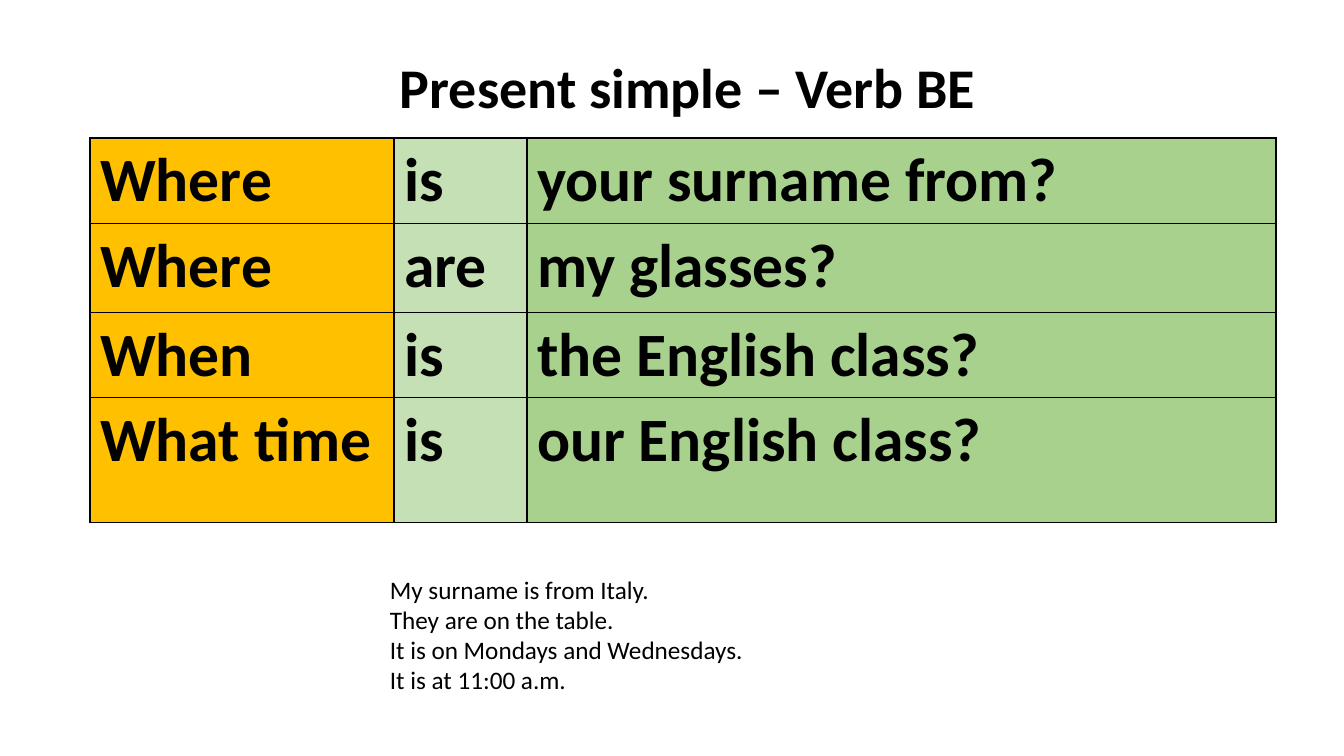
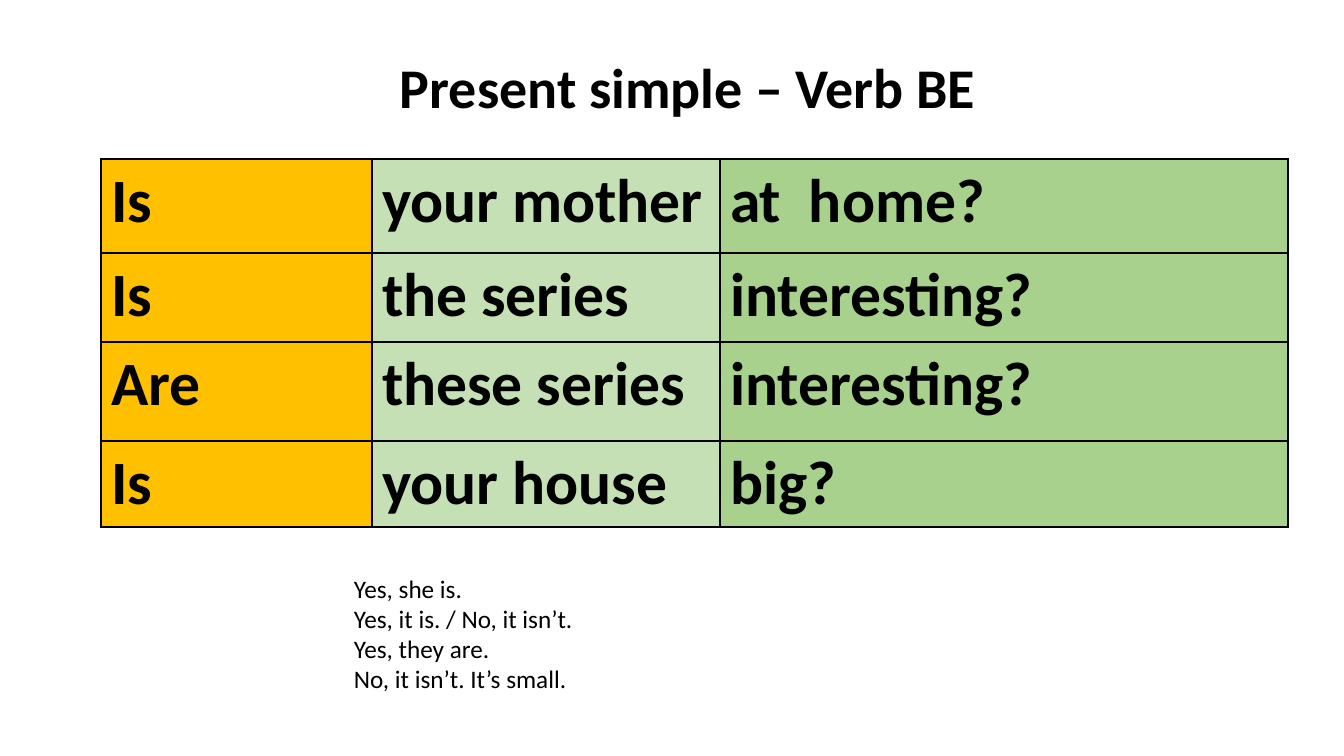
from lxml import etree
from pptx import Presentation
from pptx import util as u
from pptx.dml.color import RGBColor
from pptx.enum import text
from pptx.oxml import ns

EMU_PER_PX = 914400 / 100.8
SLIDE_SIZE = (1344, 756)
FONT = "Calibri"
BLACK = RGBColor(0x00, 0x00, 0x00)
AMBER = RGBColor(0xFF, 0xC0, 0x00)
PALE_GREEN = RGBColor(0xC5, 0xE0, 0xB4)
GREEN = RGBColor(0xA9, 0xD1, 0x8E)
COLUMN_FILLS = (AMBER, PALE_GREEN, GREEN)

TITLE = "Present simple – Verb BE"
TITLE_BOX = (390, 48, 632, 78)

SLIDES = [
    {
        "table_at": (90, 138),
        "columns": (304, 133, 749),
        "rows": (85, 89, 85, 125),
        "questions": [
            ("Where", "is", "your surname from?"),
            ("Where", "are", "my glasses?"),
            ("When", "is", "the English class?"),
            ("What time", "is", "our English class?"),
        ],
        "answers_box": (380, 569, 467, 132),
        "answers": [
            "My surname is from Italy.",
            "They are on the table.",
            "It is on Mondays and Wednesdays.",
            "It is at 11:00 a.m.",
        ],
    },
    {
        "table_at": (101, 159),
        "columns": (271, 348, 568),
        "rows": (94, 89, 99, 86),
        "questions": [
            ("Is", "your mother", "at  home?"),
            ("Is", "the series", "interesting?"),
            ("Are", "these series", "interesting?"),
            ("Is", "your house", "big?"),
        ],
        "answers_box": (344, 568, 666, 132),
        "answers": [
            "Yes, she is.",
            "Yes, it is. / No, it isn’t.",
            "Yes, they are.",
            "No, it isn’t. It’s small.",
        ],
    },
]


def px(length):
    return u.Emu(round(length * EMU_PER_PX))


def write(text_frame, lines, size, bold=False):
    text_frame.text = "\n".join(lines)
    for paragraph in text_frame.paragraphs:
        for run in paragraph.runs:
            run.font.name = FONT
            run.font.size = u.Pt(size)
            run.font.bold = bold
            run.font.color.rgb = BLACK


def add_text(slide, box, lines, size, bold=False):
    shape = slide.shapes.add_textbox(*map(px, box))
    shape.text_frame.word_wrap = True
    shape.text_frame.auto_size = text.MSO_AUTO_SIZE.SHAPE_TO_FIT_TEXT
    write(shape.text_frame, lines, size, bold)


def add_borders(cell):
    properties = cell._tc.get_or_add_tcPr()
    for position, side in enumerate(("lnL", "lnR", "lnT", "lnB")):
        line = etree.Element(ns.qn(f"a:{side}"), w=str(u.Pt(1)))
        fill = etree.SubElement(line, ns.qn("a:solidFill"))
        etree.SubElement(fill, ns.qn("a:srgbClr"), val=str(BLACK))
        properties.insert(position, line)


def add_question_table(slide, content):
    widths, heights = content["columns"], content["rows"]
    table = slide.shapes.add_table(
        len(heights), len(widths), *map(px, content["table_at"]),
        px(sum(widths)), px(sum(heights))).table
    table.first_row = False
    table.horz_banding = False
    for column, width in zip(table.columns, widths):
        column.width = px(width)
    for row, height, words in zip(table.rows, heights, content["questions"]):
        row.height = px(height)
        for cell, word, color in zip(row.cells, words, COLUMN_FILLS):
            write(cell.text_frame, [word], 44, bold=True)
            cell.fill.solid()
            cell.fill.fore_color.rgb = color
            add_borders(cell)


def main():
    presentation = Presentation()
    presentation.slide_width, presentation.slide_height = map(px, SLIDE_SIZE)
    for content in SLIDES:
        slide = presentation.slides.add_slide(presentation.slide_layouts[6])
        add_question_table(slide, content)
        add_text(slide, TITLE_BOX, [TITLE], 40, bold=True)
        add_text(slide, content["answers_box"], content["answers"], 18)
    presentation.save("out.pptx")


if __name__ == "__main__":
    main()
